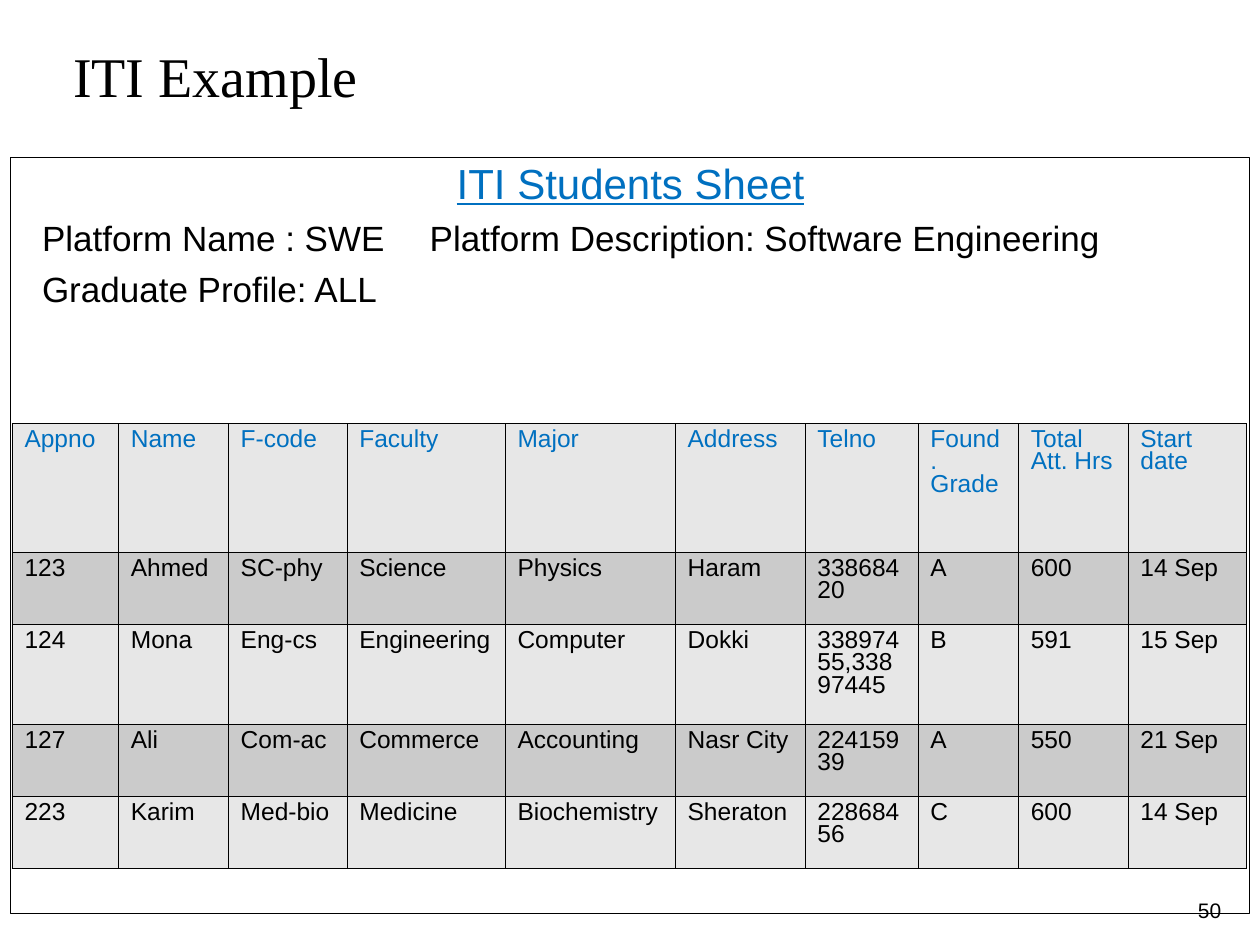
from lxml import etree
from pptx import Presentation
from pptx.dml.color import RGBColor
from pptx.enum.shapes import MSO_SHAPE
from pptx.enum.text import MSO_ANCHOR, MSO_AUTO_SIZE, PP_ALIGN
from pptx.oxml.ns import qn
from pptx.util import Pt

RECTANGLE = MSO_SHAPE.RECTANGLE
TOP = MSO_ANCHOR.TOP
NO_AUTOFIT = MSO_AUTO_SIZE.NONE
LEFT, CENTER = PP_ALIGN.LEFT, PP_ALIGN.CENTER

BLACK, BLUE = "000000", "0070C0"
LIGHT_GRAY, DARK_GRAY = "E7E7E7", "CBCBCB"
TITLE_FONT, BODY_FONT = "Times New Roman", "Arial"

COLUMN_WIDTHS = [60.8, 62.8, 67.8, 90.4, 97.2, 74.2, 64.6, 57.4, 62.6, 67.8]
ROW_HEIGHTS = [73.6, 41.2, 57.2, 41.2, 41.2]
STUDENTS = [
    ["Appno", "Name", "F-code", "Faculty", "Major", "Address", "Telno",
     "Found.\nGrade", "Total\nAtt. Hrs", "Start date"],
    ["123", "Ahmed", "SC-phy", "Science", "Physics", "Haram", "33868420",
     "A", "600", "14 Sep"],
    ["124", "Mona", "Eng-cs", "Engineering", "Computer", "Dokki",
     "33897455,33897445", "B", "591", "15 Sep"],
    ["127", "Ali", "Com-ac", "Commerce", "Accounting", "Nasr City", "22415939",
     "A", "550", "21 Sep"],
    ["223", "Karim", "Med-bio", "Medicine", "Biochemistry", "Sheraton",
     "22868456", "C", "600", "14 Sep"],
]


def color(hex_string):
    return RGBColor.from_string(hex_string)


def set_tabs(para, indent, hanging, stops):
    """Give a paragraph a hanging indent and left tab stops, in points."""
    properties = para._p.get_or_add_pPr()
    properties.set("marL", str(Pt(indent)))
    properties.set("indent", str(-Pt(hanging)))
    tab_list = etree.SubElement(properties, qn("a:tabLst"))
    for stop in stops:
        etree.SubElement(tab_list, qn("a:tab"), pos=str(Pt(stop)), algn="l")


def set_borders(cell, width, line_color):
    properties = cell._tc.get_or_add_tcPr()
    for position, side in enumerate(("a:lnL", "a:lnR", "a:lnT", "a:lnB")):
        line = etree.Element(qn(side), w=str(Pt(width)))
        fill = etree.SubElement(line, qn("a:solidFill"))
        etree.SubElement(fill, qn("a:srgbClr"), val=line_color)
        properties.insert(position, line)


class SlideBuilder:
    """Holds the text style and the current slide."""

    def __init__(self, page, font_name):
        self.page = page
        self.font_name = font_name

    def style(self, para, size, text_color=BLACK, align=LEFT, font_name=None):
        para.alignment = align
        for span in para.runs:
            span.font.name = font_name or self.font_name
            span.font.size = Pt(size)
            span.font.color.rgb = color(text_color)

    def frame(self, shape, inset_x=0, inset_y=0):
        frame = shape.text_frame
        frame.word_wrap = True
        frame.auto_size = NO_AUTOFIT
        frame.vertical_anchor = TOP
        frame.margin_left = frame.margin_right = Pt(inset_x)
        frame.margin_top = frame.margin_bottom = Pt(inset_y)
        return frame

    def title(self, text, left, top, width, height):
        title = self.page.shapes.title
        title.left, title.top = Pt(left), Pt(top)
        title.width, title.height = Pt(width), Pt(height)
        frame = self.frame(title)
        frame.text = text
        self.style(frame.paragraphs[0], 32, font_name=TITLE_FONT)

    def page_number(self, text, left, top, width, height):
        box = self.page.shapes.add_textbox(Pt(left), Pt(top), Pt(width), Pt(height))
        frame = self.frame(box, 7.2, 3.6)
        frame.text = text
        para = frame.paragraphs[0]
        para.line_spacing = 0.9
        self.style(para, 12, align=CENTER)

    def sheet(self, heading, details, left, top, width, height):
        """Draw the outlined sheet with a heading and detail lines."""
        box = self.page.shapes.add_shape(
            RECTANGLE, Pt(left), Pt(top), Pt(width), Pt(height))
        box.shadow.inherit = False
        box.fill.background()
        box.line.color.rgb = color(BLACK)
        box.line.width = Pt(0.75)
        frame = self.frame(box)
        frame.text = "\n".join([heading, *details])
        first, *others = frame.paragraphs
        for para in frame.paragraphs:
            set_tabs(para, 18, 17.28, (18, 234))
        self.style(first, 24, BLUE, CENTER)
        first.runs[0].font.underline = True
        for para in others:
            para.space_before = Pt(5)
            self.style(para, 20)

    def table(self, rows, left, top, widths, heights):
        table = self.page.shapes.add_table(
            len(rows), len(widths), Pt(left), Pt(top),
            Pt(sum(widths)), Pt(sum(heights))).table
        table.first_row = table.horz_banding = False
        for column, width in zip(table.columns, widths):
            column.width = Pt(width)
        for index, (row, height, texts) in enumerate(zip(table.rows, heights, rows)):
            row.height = Pt(height)
            for cell, text in zip(row.cells, texts):
                cell.text = text
                cell.fill.solid()
                cell.fill.fore_color.rgb = color(DARK_GRAY if index % 2 else LIGHT_GRAY)
                set_borders(cell, 0.06, BLACK)
                for para in cell.text_frame.paragraphs:
                    para.line_spacing = 0.81
                    self.style(para, 14, BLACK if index else BLUE)


def main():
    deck = Presentation()
    deck.slide_width, deck.slide_height = Pt(720), Pt(540)
    page = deck.slides.add_slide(deck.slide_layouts[5])
    builder = SlideBuilder(page, BODY_FONT)
    builder.page_number("50", 673.2, 511.2, 36, 20.2)
    builder.title("ITI Example", 41.8, 23.8, 596.9, 74.2)
    builder.sheet(
        "ITI Students Sheet",
        ["\tPlatform Name : SWE\t Platform Description: Software Engineering",
         "\tGraduate Profile: ALL"],
        6, 90, 708, 432)
    builder.table(STUDENTS, 6.8, 241.9, COLUMN_WIDTHS, ROW_HEIGHTS)
    deck.save("out.pptx")


if __name__ == "__main__":
    main()
